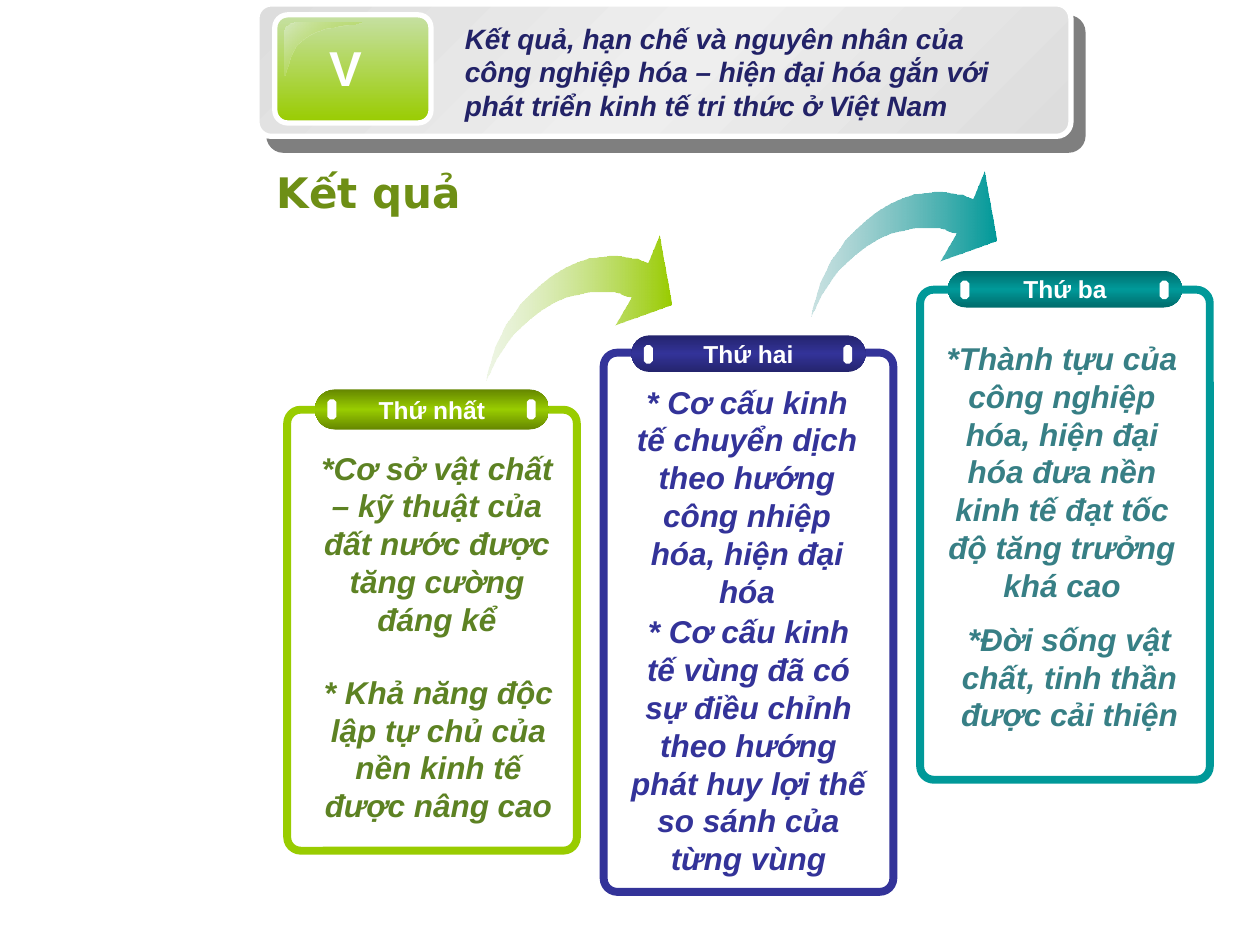
from dataclasses import dataclass

import lxml.etree
import pptx
import pptx.dml.color
import pptx.enum.shapes
import pptx.enum.text
import pptx.oxml.ns
import pptx.util

Cm = pptx.util.Cm
Shape = pptx.enum.shapes.MSO_SHAPE
Align = pptx.enum.text.PP_ALIGN
Anchor = pptx.enum.text.MSO_ANCHOR
qn = pptx.oxml.ns.qn

COLORS = {
    "white": "FFFFFF", "black": "000000", "title": "6E8F15", "heading": "222267",
    "green": "99CC00", "green_dark": "658700", "green_text": "5D8223",
    "green_pale": "CCE3B0", "green_light": "C6E0A4", "gloss": "D5E8BF",
    "blue": "333399", "blue_dark": "24246D",
    "teal": "009999", "teal_dark": "006D6D", "teal_text": "377F85", "teal_pale": "5AA6A6",
    "grey": "DDDDDD", "grey_light": "EEEEEE",
}

# Outlines in hundredths of an inch
OUTLINE_SCALE = Cm(2.54) / 100
ARROW_OUTLINE = [
    (0, 115), (1, 112), (3, 109), (5, 104), (8, 98), (12, 92), (16, 86), (21, 79),
    (28, 72), (36, 65), (44, 59), (54, 53), (64, 49), (73, 47), (82, 45), (89, 45),
    (96, 45), (102, 45), (106, 46), (110, 48), (115, 49), (102, 71), (147, 55),
    (137, 0), (128, 22), (123, 20), (119, 18), (115, 18), (110, 17), (104, 16),
    (97, 16), (89, 17), (81, 18), (72, 21), (63, 25), (53, 31), (44, 38), (35, 46),
    (27, 54), (21, 63), (15, 71), (11, 80), (7, 88), (5, 95), (3, 102), (1, 108),
]
GLOSS_CURVES = [
    [(12, 0), (6, 0), (0, 3), (0, 8)],
    [(0, 42), (3, 42), (1, 22), (17, 12)],
    [(17, 12), (32, 2), (62, 2), (61, 0)],
]


@dataclass
class Stop:
    position: int
    color: str
    opacity: int = 100


@dataclass
class Passage:
    left: float
    top: float
    height: float
    text: str


@dataclass
class Card:
    title: str
    color: str
    dark: str
    text_color: str
    top: float
    height: float
    pill_top: float
    pill_height: float
    passages: list[Passage]


CARDS = [
    Card("Thứ nhất", "green", "green_dark", "green_text", 8.26, 8.89, 7.85, 0.81, [
        Passage(6.17, 8.92, 4.55,
                "*Cơ sở vật chất – kỹ thuật của đất nước được tăng cường đáng kể"),
        Passage(6.2, 13.44, 3.71, "* Khả năng độc lập tự chủ của nền kinh tế được nâng cao")]),
    Card("Thứ hai", "blue", "blue_dark", "blue", 7.11, 10.87, 6.76, 0.74, [
        Passage(12.42, 7.59, 4.88,
                "* Cơ cấu kinh tế chuyển dịch theo hướng công nhiệp hóa, hiện đại hóa"),
        Passage(12.45, 12.22, 5.64, "* Cơ cấu kinh tế vùng đã có sự điều chỉnh theo hướng "
                "phát huy lợi thế so sánh của từng vùng")]),
    Card("Thứ ba", "teal", "teal_dark", "teal_text", 5.84, 9.88, 5.46, 0.74, [
        Passage(18.77, 6.71, 5.64, "*Thành tựu của công nghiệp hóa, hiện đại hóa đưa nền "
                "kinh tế đạt tốc độ tăng trưởng khá cao"),
        Passage(18.92, 12.37, 2.57, "*Đời sống vật chất, tinh thần được cải thiện")]),
]
CARD_LEFT, CARD_STEP, CARD_WIDTH = 5.79, 6.38, 5.84
PILL_INSET, PILL_WIDTH = 0.56, 4.72
PASSAGE_WIDTH = 5.28


def rgb(name: str) -> pptx.dml.color.RGBColor:
    return pptx.dml.color.RGBColor.from_string(COLORS[name])


def write(box, text: str, *, size: int, color: str, font: str = "Arial",
          italic: bool = False, align=Align.CENTER, anchor=Anchor.TOP) -> None:
    frame = box.text_frame
    frame.word_wrap = True
    frame.vertical_anchor = anchor
    para = frame.paragraphs[0]
    para.alignment = align
    span = para.add_run()
    span.text = text
    span.font.name, span.font.size = font, pptx.util.Pt(size)
    span.font.bold, span.font.italic = True, italic
    span.font.color.rgb = rgb(color)


def add_text(shapes, left: float, top: float, width: float, height: float,
             text: str, **style) -> None:
    write(shapes.add_textbox(Cm(left), Cm(top), Cm(width), Cm(height)), text, **style)


def add_color(parent, name: str, opacity: int):
    color = lxml.etree.SubElement(parent, qn("a:srgbClr"), val=COLORS[name])
    if opacity < 100:
        lxml.etree.SubElement(color, qn("a:alpha"), val=str(opacity * 1000))


def paint(shape, fill: str | list[Stop] | None, angle: int = 0,
          line: str | None = None, line_width: float = 0) -> None:
    """Fill with nothing, one colour or gradient stops; set the outline."""
    shape.shadow.inherit = False
    if fill is None:
        shape.fill.background()
    elif isinstance(fill, str):
        shape.fill.solid()
        shape.fill.fore_color.rgb = rgb(fill)
    else:
        shape.fill.gradient()
        gradient = shape._element.spPr.find(qn("a:gradFill"))
        gradient.find(qn("a:lin")).set("ang", str(angle * 60000))
        stops = gradient.find(qn("a:gsLst"))
        for old in list(stops):
            stops.remove(old)
        for stop in fill:
            node = lxml.etree.SubElement(stops, qn("a:gs"), pos=str(stop.position * 1000))
            add_color(node, stop.color, stop.opacity)
    if line:
        shape.line.color.rgb = rgb(line)
        shape.line.width = pptx.util.Pt(line_width)
    else:
        shape.line.fill.background()


def add_preset(shapes, kind, left: float, top: float, width: float, height: float,
               fill, corner: float | None = None, **look):
    shape = shapes.add_shape(kind, Cm(left), Cm(top), Cm(width), Cm(height))
    if corner is not None:
        shape.adjustments[0] = corner
    paint(shape, fill, **look)
    return shape


def add_outline(shapes, left: float, top: float, points, stops: list[Stop], angle: int) -> None:
    builder = shapes.build_freeform(*points[0], scale=OUTLINE_SCALE)
    builder.add_line_segments(points[1:], close=True)
    paint(builder.convert_to_shape(Cm(left), Cm(top)), stops, angle)


def curve_points(controls, steps: int = 10) -> list[tuple[float, float]]:
    """Points along a cubic Bézier curve."""
    points = []
    for step in range(steps + 1):
        t = step / steps
        weights = ((1 - t) ** 3, 3 * t * (1 - t) ** 2, 3 * t * t * (1 - t), t ** 3)
        points.append(tuple(sum(w * control[axis] for w, control in zip(weights, controls))
                            for axis in (0, 1)))
    return points


def add_card(page, index: int, card: Card) -> None:
    shapes = page.shapes.add_group_shape().shapes
    left = CARD_LEFT + index * CARD_STEP
    add_preset(shapes, Shape.ROUNDED_RECTANGLE, left, card.top, CARD_WIDTH, card.height,
               None, 0.047, line=card.color, line_width=4.5)
    # Title pill with a white mark near each end
    pill_left = left + PILL_INSET
    bands = [Stop(0, card.dark), Stop(50, card.color), Stop(100, card.dark)]
    pill = add_preset(shapes, Shape.ROUNDED_RECTANGLE, pill_left, card.pill_top,
                      PILL_WIDTH, card.pill_height, bands, 0.5, angle=90)
    write(pill, card.title, size=14, color="white", anchor=Anchor.MIDDLE)
    for offset in (0.25, 4.27):
        add_preset(shapes, Shape.OCTAGON, pill_left + offset, card.pill_top + 0.2,
                   0.18, card.pill_height / 2, "white", 0.29)
    for passage in card.passages:
        add_text(shapes, passage.left, passage.top, PASSAGE_WIDTH, passage.height,
                 passage.text, size=18, color=card.text_color, italic=True)


def add_header(page) -> None:
    shapes = page.shapes.add_group_shape().shapes
    sheen = [Stop(0, "grey"), Stop(50, "grey_light"), Stop(100, "grey")]
    banner = add_preset(shapes, Shape.ROUNDED_RECTANGLE, 5.18, 0.08, 16.41, 2.67, sheen,
                        0.109, angle=45, line="white", line_width=3)
    effects = banner._element.spPr.find(qn("a:effectLst"))
    shadow = lxml.etree.SubElement(effects, qn("a:outerShdw"), dist=str(Cm(0.37)),
                                   dir=str(49 * 60000), algn="ctr", rotWithShape="0")
    add_color(shadow, "black", 50)
    # Glossy number badge
    add_preset(shapes, Shape.ROUNDED_RECTANGLE, 5.54, 0.3, 3.15, 2.18,
               [Stop(0, "green_light"), Stop(100, "green")], 0.119, angle=90,
               line="white", line_width=3)
    gloss = [point for controls in GLOSS_CURVES for point in curve_points(controls)]
    add_outline(shapes, 5.74, 0.46, gloss, [Stop(0, "gloss"), Stop(100, "green", 0)], 45)
    add_text(shapes, 6.38, 0.64, 1.17, 1.45, "V", size=28, color="white")
    add_text(shapes, 9.12, 0.3, 11.66, 3, "Kết quả, hạn chế và nguyên nhân của công nghiệp "
             "hóa – hiện đại hóa gắn với phát triển kinh tế tri thức ở Việt Nam",
             size=16, color="heading", italic=True, align=Align.LEFT)


def main() -> None:
    deck = pptx.Presentation()
    deck.slide_width, deck.slide_height = Cm(25.4), Cm(19.05)
    page = deck.slides.add_slide(deck.slide_layouts[6])
    add_text(page.shapes, 5.33, 3.23, 12.62, 1.27, "Kết quả", size=24, color="title",
             font="DejaVu Sans", align=Align.LEFT, anchor=Anchor.MIDDLE)
    # Rising arrows between the cards
    for left, top, pale, strong in ((16.36, 3.45, "teal_pale", "teal"),
                                    (9.8, 4.75, "green_pale", "green")):
        add_outline(page.shapes, left, top, ARROW_OUTLINE,
                    [Stop(0, pale, 32), Stop(100, strong)], 0)
    for index, card in enumerate(CARDS):
        add_card(page, index, card)
    add_header(page)
    deck.save("out.pptx")


if __name__ == "__main__":
    main()
